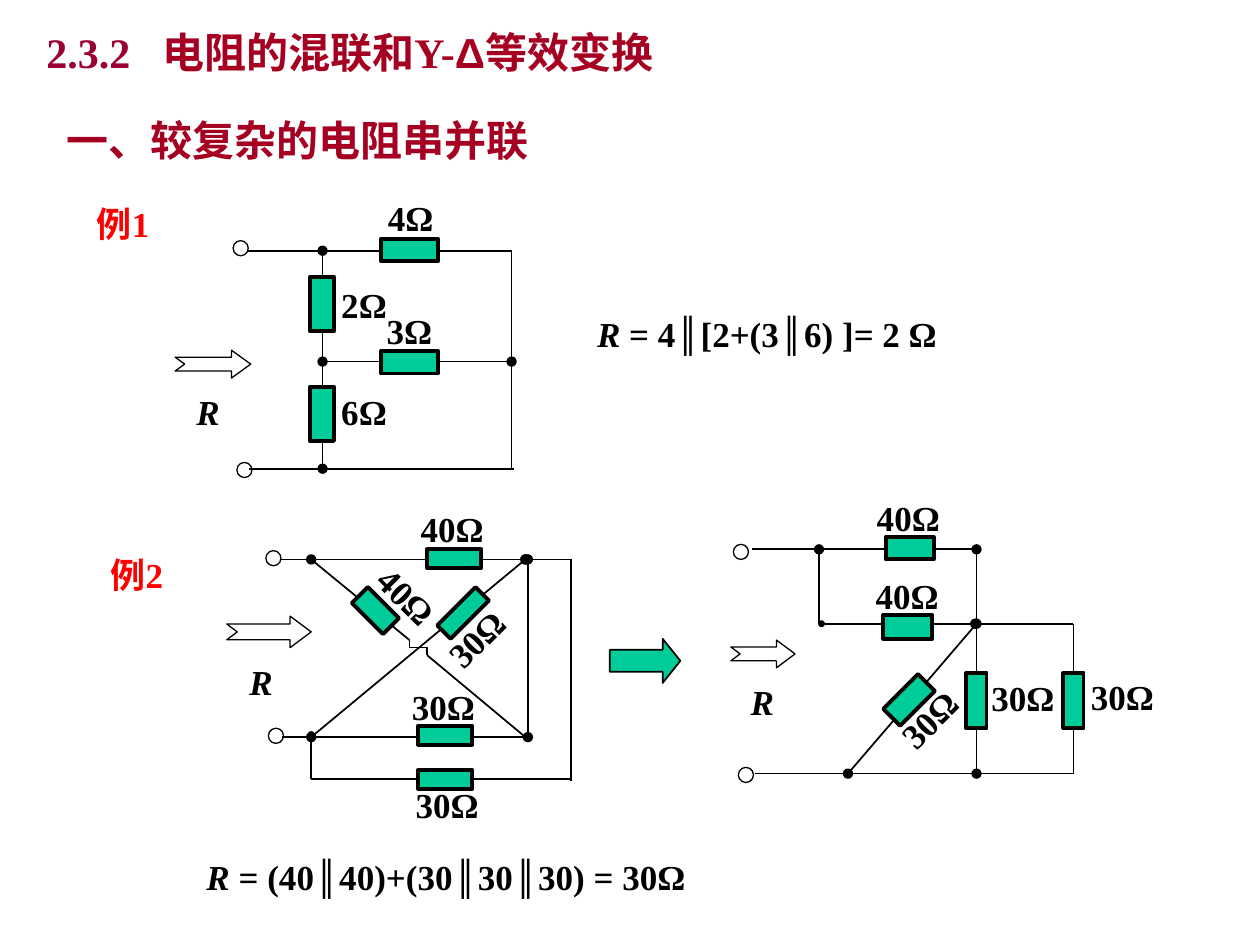
"""Build a slide on mixed resistor networks and the Y-Δ equivalent transformation."""
from lxml import etree
from pptx import Presentation
from pptx.dml.color import RGBColor
from pptx.enum.shapes import MSO_CONNECTOR, MSO_SHAPE
from pptx.enum.text import MSO_ANCHOR, MSO_AUTO_SIZE, PP_ALIGN
from pptx.oxml.ns import qn
from pptx.util import Inches, Pt

STRAIGHT, ELBOW = MSO_CONNECTOR.STRAIGHT, MSO_CONNECTOR.ELBOW
RECTANGLE, OVAL = MSO_SHAPE.RECTANGLE, MSO_SHAPE.OVAL
RIGHT_ARROW, NOTCHED_ARROW = MSO_SHAPE.RIGHT_ARROW, MSO_SHAPE.NOTCHED_RIGHT_ARROW
GROW, LEFT, TOP = MSO_AUTO_SIZE.SHAPE_TO_FIT_TEXT, PP_ALIGN.LEFT, MSO_ANCHOR.TOP

COLORS = {name: RGBColor.from_string(code) for name, code in {
    "black": "000000", "white": "FFFFFF", "green": "00CC99",
    "red": "FF0000", "crimson": "A50021", "wine": "990033"}.items()}
FONT = "Times New Roman"

deck = Presentation()
deck.slide_width, deck.slide_height = Inches(10), Inches(7.5)
page = deck.slides.add_slide(deck.slide_layouts[6])
COLUMN, ROW = deck.slide_width // 1000, deck.slide_height // 750


def place_shape(kind, left, top, width, height, fill, weight, line="black"):
    shape = page.shapes.add_shape(
        kind, int(left * COLUMN), int(top * ROW), width * COLUMN, height * ROW)
    shape.shadow.inherit = False
    if fill:
        shape.fill.solid()
        shape.fill.fore_color.rgb = COLORS[fill]
    else:
        shape.fill.background()
    shape.line.color.rgb = COLORS[line]
    shape.line.width = Pt(weight)
    return shape


def write(box, spans, size=20, wrap=True):
    frame = box.text_frame
    frame.word_wrap, frame.auto_size, frame.vertical_anchor = wrap, GROW, TOP
    para = frame.paragraphs[0]
    para.alignment = LEFT
    for text, color, italic, font in spans:
        span = para.add_run()
        span.text = text
        span.font.size, span.font.name = Pt(size), font
        span.font.bold, span.font.italic = True, italic
        span.font.color.rgb = COLORS[color]
    return para


example_1_wires = [
    (256, 287, 406, 287, "med", "med"), (196, 199, 406, 199, None, None),
    (198, 372, 408, 372, None, None), (256, 199, 256, 372, "med", "med"),
    (406, 199, 406, 372, None, None)]
example_2_wires = [
    (222, 444, 421, 444, None, None), (224, 585, 423, 585, None, None),
    (419, 444, 419, 585, "med", "med"), (417, 585, 339, 520, None, None),
    (247, 444, 325, 508, "med", None), (417, 444, 247, 585, "med", "med"),
    (417, 444, 453, 444, "med", None), (453, 444, 453, 620, None, None),
    (247, 583, 247, 618, "sm", None), (247, 618, 453, 618, None, None)]
equivalent_wires = [
    (597, 436, 777, 436, None, None), (599, 614, 779, 614, None, None),
    (775, 436, 775, 614, "med", "med"), (774, 495, 652, 495, "med", "sm"),
    (650, 495, 650, 436, None, "med"), (775, 495, 673, 614, "med", "med"),
    (775, 495, 852, 495, None, None), (775, 614, 852, 614, None, None),
    (852, 495, 852, 614, None, None)]
wires = [(STRAIGHT, *wire) for wire in example_1_wires + example_2_wires + equivalent_wires]
crossing = (ELBOW, 338, 507, 326, 521, None, None)

for kind, x1, y1, x2, y2, head, tail in wires + [crossing]:
    wire = page.shapes.add_connector(kind, x1 * COLUMN, y1 * ROW, x2 * COLUMN, y2 * ROW)
    wire.line.color.rgb = COLORS["black"]
    wire.line.width = Pt(1)
    properties = wire._element.spPr
    for tag, size in (("a:headEnd", head), ("a:tailEnd", tail)):
        if size:
            etree.SubElement(properties.find(qn("a:ln")), qn(tag), type="oval", w=size, len=size)
    etree.SubElement(properties, qn("a:effectLst"))
    if kind == ELBOW:
        properties.xfrm.set("rot", "16200000")

resistors = [
    (325, 287.5, 45, 18, 0), (325, 198.5, 45, 18, 0),
    (255.5, 241.5, 19, 43, 0), (255.5, 328.5, 19, 43, 0),
    (360.5, 443.5, 43, 15, 0), (353.5, 583.5, 43, 15, 0), (353.5, 618.5, 43, 15, 0),
    (298, 484.5, 18, 35, 315), (367.5, 486.5, 15, 43, 45),
    (722, 435, 38, 18, 0), (720.5, 497.5, 39, 19, 0), (721.5, 555.5, 19, 39, 45),
    (775, 556, 16, 44, 0), (852, 556, 16, 44, 0)]
for center_x, center_y, width, height, angle in resistors:
    resistor = place_shape(RECTANGLE, center_x - width / 2, center_y - height / 2,
                           width, height, "green", 2.25)
    resistor.rotation = angle

for left, top in [(185, 191), (188, 367), (211, 437), (213, 578), (582, 432), (586, 609)]:
    place_shape(OVAL, left, top, 12, 12, None, 0.75)

arrows = [
    (NOTCHED_ARROW, 139, 278, 60, 22, "white", 0.75, 0.69),
    (NOTCHED_ARROW, 180, 489, 67, 25, "white", 0.75, 0.67),
    (NOTCHED_ARROW, 580, 508, 51, 22, "white", 0.75, 0.67),
    (RIGHT_ARROW, 484, 507, 56, 35, "green", 1, 0.4)]
for *geometry, head_length in arrows:
    arrow = place_shape(*geometry)
    arrow.adjustments[0], arrow.adjustments[1] = 0.5, head_length

labels = [
    ("例1", 67, 156, 83, 0), ("4Ω", 298, 151, 78, 0), ("2Ω", 261, 220, 69, 0),
    ("3Ω", 297, 241, 72, 0), ("6Ω", 261, 305, 89, 0), ("R", 146, 305, 39, 0),
    ("例2", 78, 434, 83, 0), ("40Ω", 324, 398, 91, 0), ("40Ω", 287, 454, 77, 44.5),
    ("30Ω", 339, 476, 96, 315), ("30Ω", 317, 539, 105, 0), ("30Ω", 320, 617, 112, 0),
    ("R", 188, 519, 39, 0), ("40Ω", 686, 389, 88, 0), ("40Ω", 685, 451, 82, 0),
    ("30Ω", 700, 544, 85, 315), ("30Ω", 777, 532, 77, 0), ("30Ω", 856, 531, 105, 0),
    ("R", 586, 535, 39, 0),
    ("R = 4∥[2+(3∥6) ]= 2 Ω", 464, 243, 358, 0),
    ("R = (40∥40)+(30∥30∥30) = 30Ω", 154, 674, 545, 0)]
for text, left, top, width, angle in labels:
    box = page.shapes.add_textbox(left * COLUMN, top * ROW, width * COLUMN, 43 * ROW)
    box.rotation = angle
    color = "red" if text.startswith("例") else "black"
    symbol, formula = ("R", text[1:]) if text.startswith("R") else ("", text)
    parts = [(symbol, color, True, FONT), (formula, color, False, FONT)]
    write(box, [part for part in parts if part[0]], wrap=text != "R")

title = page.shapes.add_textbox(27 * COLUMN, 16 * ROW, 572 * COLUMN, 50 * ROW)
title_para = write(title, [
    ("2.3.2\t", "wine", False, FONT), ("电阻的混联和Y-", "crimson", False, FONT),
    ("Δ等效", "crimson", False, "Arial"), ("变换", "crimson", False, FONT)], size=24)
tabs = etree.SubElement(title_para._p.get_or_add_pPr(), qn("a:tabLst"))
etree.SubElement(tabs, qn("a:tab"), pos=str(92 * COLUMN), algn="l")

heading = place_shape(RECTANGLE, 43, 86, 521, 50, "white", 2, "white")
write(heading, [("一、较复杂的电阻串并联", "crimson", False, FONT)], size=24)

deck.save("out.pptx")
